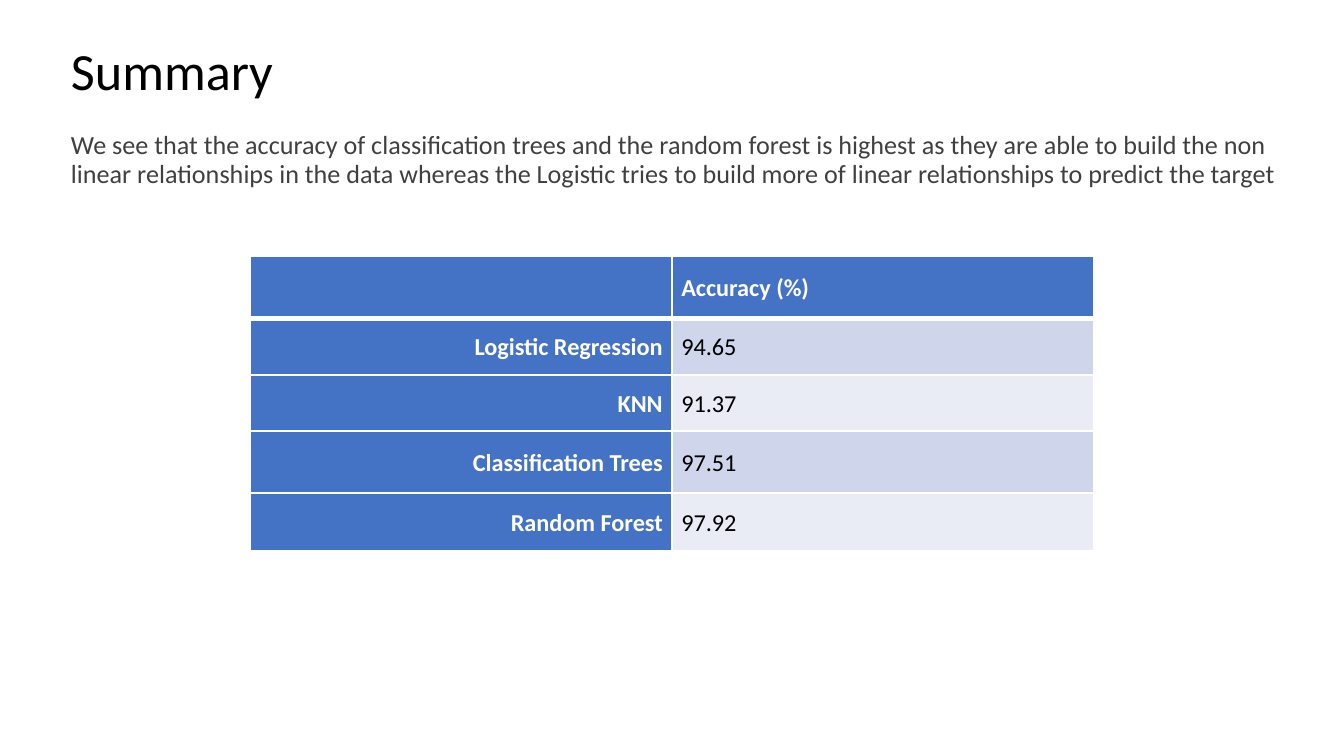
from dataclasses import dataclass

from lxml import etree
from pptx import Presentation
from pptx import util as u
from pptx.dml.color import RGBColor
from pptx.enum import text
from pptx.oxml.ns import qn

# Widescreen page, in inches
SLIDE_W = 10
SLIDE_H = SLIDE_W * 9 / 16
FONT = "Calibri"
BLACK, WHITE, GREY, BLUE = "000000", "FFFFFF", "404040", "4472C4"
BANDS = ("CFD5EA", "E9EBF5")

# Table grid, in inches
COLUMN_W = 3.14
ROW_HEIGHTS = (0.46, 0.42, 0.42, 0.46, 0.43)
TABLE_TOP = 1.91

ACCURACY = (
    ("Logistic Regression", "94.65"),
    ("KNN", "91.37"),
    ("Classification Trees", "97.51"),
    ("Random Forest", "97.92"),
)


@dataclass
class Style:
    size: float
    color: str
    bold: bool = False
    align: text.PP_ALIGN = text.PP_ALIGN.LEFT
    line_spacing: float = 1.0
    space_before: float = 0


@dataclass
class Block:
    words: str
    top: float  # share of the slide's height
    width: float  # share of the slide's width
    height: float  # share of the slide's height
    style: Style


HEADER = Style(13, WHITE, bold=True, line_spacing=1.07)
MODEL = Style(13, WHITE, bold=True, align=text.PP_ALIGN.RIGHT, line_spacing=1.07)
VALUE = Style(13, BLACK, line_spacing=1.07)

BLOCKS = (
    Block("Summary", 0.06 / SLIDE_H, 0.82, 0.97 / SLIDE_H,
          Style(28, BLACK, line_spacing=0.9)),
    Block("We see that the accuracy of classification trees and the random forest "
          "is highest as they are able to build the non linear relationships in the "
          "data whereas the Logistic tries to build more of linear relationships to "
          "predict the target", 0.88 / SLIDE_H, 0.93, 0.63 / SLIDE_H,
          Style(14, GREY, line_spacing=0.9, space_before=10)),
)


def rgb(value: str) -> RGBColor:
    return RGBColor.from_string(value)


def write(frame, words: str, style: Style) -> None:
    paragraph = frame.paragraphs[0]
    paragraph.alignment = style.align
    paragraph.line_spacing = style.line_spacing
    paragraph.space_before = u.Pt(style.space_before)
    run = paragraph.add_run()
    run.text = words
    run.font.name = FONT
    run.font.size = u.Pt(style.size)
    run.font.bold = style.bold
    run.font.color.rgb = rgb(style.color)


def draw_block(slide, block: Block) -> None:
    box = slide.shapes.add_textbox(
        u.Inches(0.43), u.Inches(block.top * SLIDE_H),
        u.Inches(block.width * SLIDE_W), u.Inches(block.height * SLIDE_H))
    frame = box.text_frame
    frame.word_wrap = True
    frame.vertical_anchor = text.MSO_ANCHOR.MIDDLE
    write(frame, block.words, block.style)


def add_border(cell, side: str, points: float) -> None:
    line = etree.SubElement(cell._tc.get_or_add_tcPr(), qn(f"a:ln{side}"),
                            w=str(u.Pt(points)))
    fill = etree.SubElement(line, qn("a:solidFill"))
    etree.SubElement(fill, qn("a:srgbClr"), val=WHITE)


def draw_cell(cell, words: str, style: Style, fill: str, rules: dict[str, float]) -> None:
    for side, points in rules.items():
        add_border(cell, side, points)
    cell.fill.solid()
    cell.fill.fore_color.rgb = rgb(fill)
    cell.vertical_anchor = text.MSO_ANCHOR.MIDDLE
    cell.margin_left = cell.margin_right = u.Inches(0.07)
    cell.margin_top = cell.margin_bottom = 0
    if words:
        write(cell.text_frame, words, style)


def draw_accuracy_table(slide) -> None:
    width = 2 * COLUMN_W
    table = slide.shapes.add_table(
        len(ROW_HEIGHTS), 2, u.Inches((SLIDE_W - width) / 2), u.Inches(TABLE_TOP),
        u.Inches(width), u.Inches(sum(ROW_HEIGHTS))).table
    for row, height in zip(table.rows, ROW_HEIGHTS):
        row.height = u.Inches(height)

    # Header row, with a thicker rule under it
    thin = {"L": 1, "R": 1, "T": 1, "B": 1}
    thick_below = thin | {"B": 3}
    for column, words in enumerate(("", "Accuracy (%)")):
        draw_cell(table.cell(0, column), words, HEADER, BLUE, thick_below)

    # One banded row per model
    for index, (model, accuracy) in enumerate(ACCURACY):
        rules = thin | {"T": 3} if index == 0 else thin
        draw_cell(table.cell(index + 1, 0), model, MODEL, BLUE, rules)
        draw_cell(table.cell(index + 1, 1), accuracy, VALUE, BANDS[index % 2], rules)


def main() -> None:
    deck = Presentation()
    deck.slide_width, deck.slide_height = u.Inches(SLIDE_W), u.Inches(SLIDE_H)
    slide = deck.slides.add_slide(deck.slide_layouts[6])
    for block in BLOCKS:
        draw_block(slide, block)
    draw_accuracy_table(slide)
    deck.save("out.pptx")


if __name__ == "__main__":
    main()
